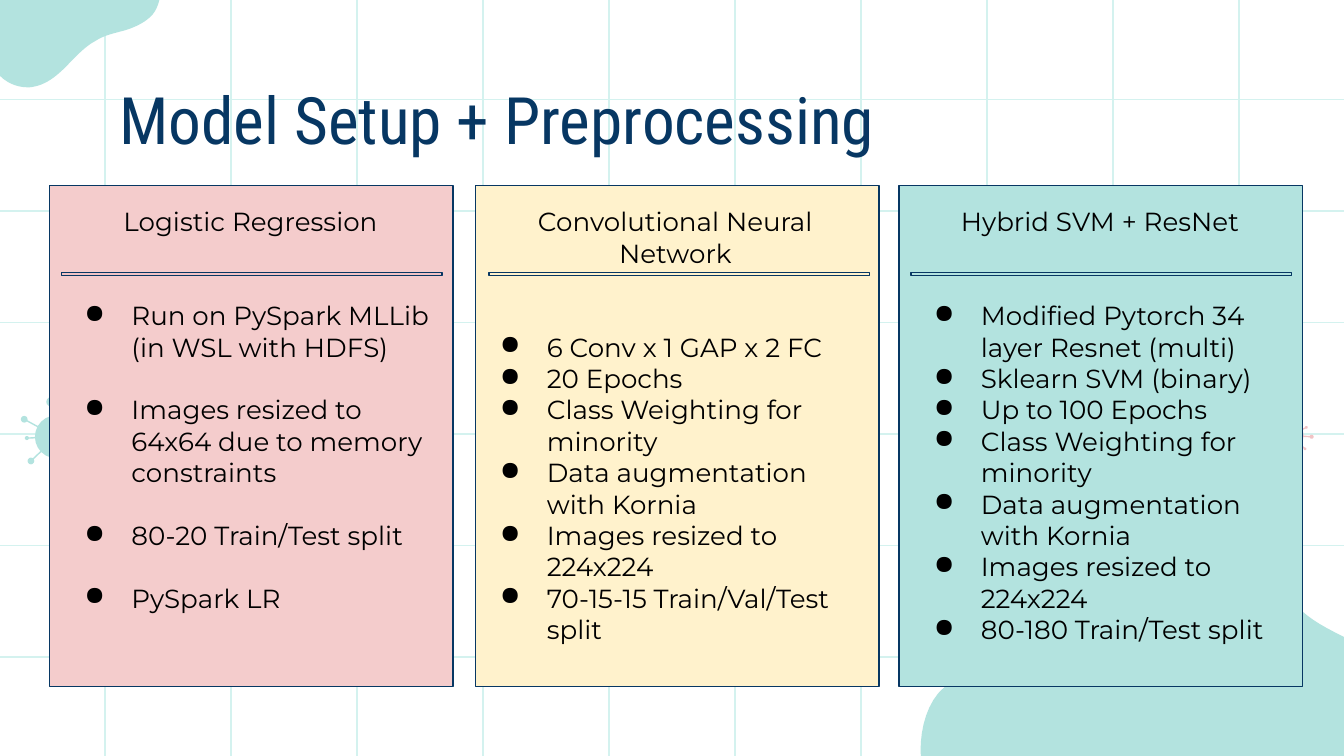
"""Build the model setup and preprocessing slide with three comparison cards."""
from dataclasses import dataclass

from lxml.etree import SubElement
from pptx import Presentation
from pptx.dml.color import RGBColor
from pptx.enum.shapes import MSO_CONNECTOR, MSO_SHAPE
from pptx.enum.text import MSO_ANCHOR, PP_ALIGN
from pptx.oxml.ns import qn
from pptx.util import Inches, Pt


@dataclass(frozen=True)
class Theme:
    navy: str = "073763"
    black: str = "000000"
    grid: str = "D4F2EF"
    teal: str = "B3E3DF"
    pink: str = "F1C3C5"
    rose: str = "F4CCCC"
    cream: str = "FFF2CC"
    title_font: str = "Roboto Condensed"
    body_font: str = "Montserrat"
    title_size: float = 35
    body_size: float = 14
    body_line: float = 16.8
    stroke: float = 0.75


theme = Theme()


def paint(shape, fill, outline=None):
    shape.shadow.inherit = False
    shape.fill.solid()
    shape.fill.fore_color.rgb = RGBColor.from_string(fill)
    if outline:
        shape.line.color.rgb = RGBColor.from_string(outline)
        shape.line.width = Pt(theme.stroke)
    else:
        shape.line.fill.background()


def draw_line(start, end, color):
    connector = slide.shapes.add_connector(
        MSO_CONNECTOR.STRAIGHT, *(Inches(value) for value in (*start, *end)))
    connector.line.color.rgb = RGBColor.from_string(color)
    connector.line.width = Pt(theme.stroke)
    SubElement(connector.element.spPr, qn("a:effectLst"))


presentation = Presentation()
presentation.slide_width = Inches(10)
presentation.slide_height = Inches(10) * 9 // 16
slide = presentation.slides.add_slide(presentation.slide_layouts[6])

for column in range(10):
    x = 0.78 + column * 8.44 / 9
    draw_line((x, 0), (x, 5.69), theme.grid)
for row in range(6):
    y = 0.74 + row * 0.83
    draw_line((-0.01, y), (10.07, y), theme.grid)

blob_start = (2.16, 0)
blob_curves = [
    ((2.13, 0), (2.09, 0), (2.06, 0.01)),
    ((1.83, 0.05), (1.64, 0.23), (1.48, 0.4)),
    ((1.36, 0.52), (1.24, 0.65), (1.09, 0.73)),
    ((0.94, 0.83), (0.76, 0.86), (0.59, 0.91)),
    ((0.44, 0.96), (0.29, 1.03), (0.18, 1.15)),
    ((0.03, 1.33), (0, 1.7), (0.14, 1.9)),
    ((0.15, 1.91), (0.16, 1.93), (0.18, 1.94)),
    ((0.2, 1.96), (0.22, 1.98), (0.25, 1.98)),
    ((1.37, 1.98), (2.5, 1.98), (3.62, 1.98)),
    ((3.63, 1.97), (3.64, 1.95), (3.64, 1.94)),
    ((3.71, 1.77), (3.74, 1.57), (3.72, 1.39)),
    ((3.69, 1.2), (3.61, 1.02), (3.47, 0.9)),
    ((3.29, 0.74), (3.05, 0.69), (2.88, 0.53)),
    ((2.76, 0.42), (2.68, 0.25), (2.55, 0.14)),
    ((2.44, 0.05), (2.3, 0), (2.16, 0)),
]
blob_points = [blob_start]
for first, second, end in blob_curves:
    start = blob_points[-1]
    for step in range(1, 13):
        t = step / 12
        blob_points.append(tuple(
            (1 - t) ** 3 * a + 3 * (1 - t) ** 2 * t * b + 3 * (1 - t) * t ** 2 * c + t ** 3 * d
            for a, b, c, d in zip(start, first, second, end)))

for left, top, scale in [(6.8, 4.01, 1), (1.22, 0.65, -0.47)]:
    outline = [(Inches(left + scale * x), Inches(top + scale * y)) for x, y in blob_points]
    builder = slide.shapes.build_freeform(*outline[0], scale=1.0)
    builder.add_line_segments(outline[1:], close=True)
    paint(builder.convert_to_shape(), theme.teal)

viruses = [
    (theme.teal, (0.42, 3.25, 0.32),
     [(0.38, 2.99, 0.07), (0.23, 3.43, 0.05), (0.18, 3.12, 0.05), (0.2, 3.26, 0.03)]),
    (theme.pink, (9.6, 3.24, 0.2),
     [(9.71, 3.34, 0.02), (9.72, 3.18, 0.02), (9.76, 3.25, 0.03)]),
]
for color, body, tips in viruses:
    for x, y, size in [body, *tips]:
        oval = slide.shapes.add_shape(
            MSO_SHAPE.OVAL, Inches(x - size / 2), Inches(y - size / 2), Inches(size), Inches(size))
        paint(oval, color)
    for x, y, size in tips:
        draw_line(body[:2], (x, y), color)

title = slide.shapes.add_textbox(Inches(0.79), Inches(0.49), Inches(8.43), Inches(0.63))
title_frame = title.text_frame
title_frame.word_wrap = True
title_frame.margin_top = title_frame.margin_bottom = Inches(0.1)
title_frame.text = "Model Setup + Preprocessing"
title_font = title_frame.paragraphs[0].runs[0].font
title_font.name = theme.title_font
title_font.size = Pt(theme.title_size)
title_font.color.rgb = RGBColor.from_string(theme.navy)

cards = [
    (0.37, 0.46, 0.38, 2.97, theme.rose, theme.pink, 1, "Logistic Regression", [
        "Run on PySpark MLLib",
        "(in WSL with HDFS)",
        "Images resized to 64x64 due to memory constraints",
        "80-20 Train/Test split",
        "PySpark LR"]),
    (3.54, 3.64, 3.47, 3.11, theme.cream, theme.cream, 0, "Convolutional Neural Network", [
        "6 Conv x 1 GAP x 2 FC",
        "20 Epochs",
        "Class Weighting for minority",
        "Data augmentation with Kornia",
        "Images resized to 224x224",
        "70-15-15 Train/Val/Test split"]),
    (6.69, 6.78, 6.7, 2.97, theme.teal, theme.teal, 0, "Hybrid SVM + ResNet", [
        "Modified Pytorch 34 layer Resnet (multi)",
        "Sklearn SVM (binary)",
        "Up to 100 Epochs",
        "Class Weighting for minority",
        "Data augmentation with Kornia",
        "Images resized to 224x224",
        "80-180 Train/Test split"]),
]
for card_left, rule_left, text_left, text_width, fill, rule_fill, gap, heading, items in cards:
    for left, top, width, height, color in [
            (card_left, 1.38, 3, 3.73, fill), (rule_left, 2.03, 2.83, 0.02, rule_fill)]:
        rectangle = slide.shapes.add_shape(
            MSO_SHAPE.RECTANGLE, Inches(left), Inches(top), Inches(width), Inches(height))
        paint(rectangle, color, theme.navy)

    text_box = slide.shapes.add_textbox(
        Inches(text_left), Inches(1.43), Inches(text_width), Inches(3.4))
    text_frame = text_box.text_frame
    text_frame.word_wrap = True
    text_frame.vertical_anchor = MSO_ANCHOR.TOP
    text_frame.margin_top = text_frame.margin_bottom = Inches(0.1)
    text_frame.text = "\n".join([heading, *items])
    text_frame.paragraphs[0].alignment = PP_ALIGN.CENTER
    for index, paragraph in enumerate(text_frame.paragraphs):
        continues = paragraph.text.startswith("(")
        if index:
            properties = paragraph._p.get_or_add_pPr()
            properties.set("marL", str(Inches(0.5)))
            properties.set("indent", str(0 if continues else Inches(-0.35)))
        if index and not continues:
            blank_lines = 2 if index == 1 else gap
            paragraph.space_before = Pt(blank_lines * theme.body_line)
            bullet_color = SubElement(properties, qn("a:buClr"))
            SubElement(bullet_color, qn("a:srgbClr"), val=theme.black)
            SubElement(properties, qn("a:buChar"), char="●")
        font = paragraph.runs[0].font
        font.name = theme.body_font
        font.size = Pt(theme.body_size)
        font.color.rgb = RGBColor.from_string(theme.black)

presentation.save("out.pptx")
